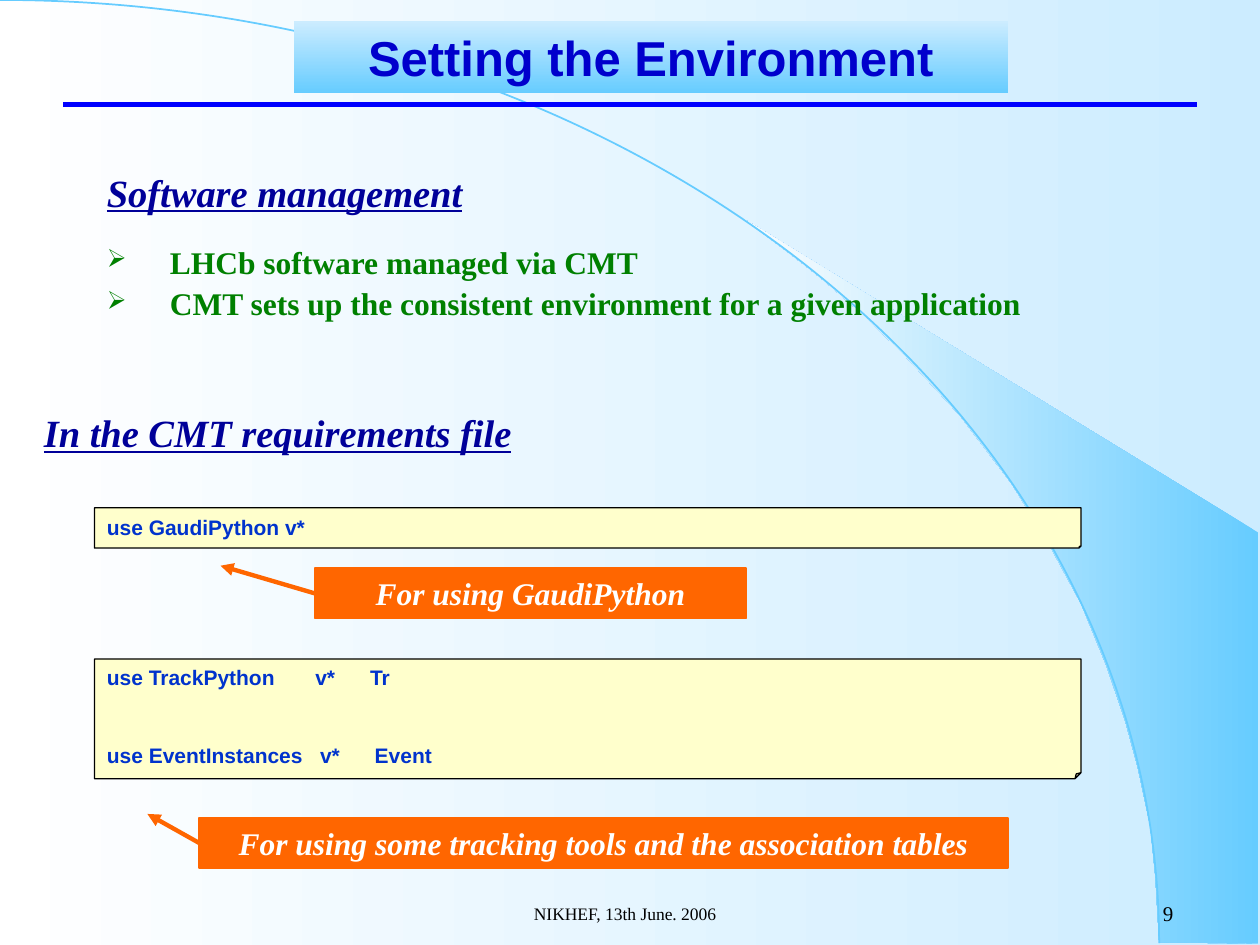
"""Build the slide on setting up the CMT environment."""
from lxml import etree
from pptx import Presentation
from pptx.dml.color import RGBColor
from pptx.enum.shapes import MSO_CONNECTOR, MSO_SHAPE
from pptx.enum.text import MSO_ANCHOR, PP_ALIGN
from pptx.oxml.ns import qn
from pptx.util import Inches, Pt

LEFT, MID, RIGHT = PP_ALIGN.LEFT, PP_ALIGN.CENTER, PP_ALIGN.RIGHT
TOP, CENTER = MSO_ANCHOR.TOP, MSO_ANCHOR.MIDDLE
STRAIGHT = MSO_CONNECTOR.STRAIGHT
RECT, FOLD, ARC = MSO_SHAPE.RECTANGLE, MSO_SHAPE.FOLDED_CORNER, MSO_SHAPE.ARC
SANS, SERIF = "Arial", "Times New Roman"

HEX = {
    "pale": "CCECFF", "white": "FFFFFF", "sky": "66CCFF", "mist": "FEFEFE",
    "rule": "0000FF", "title": "0000CC", "head": "000099", "point": "008000",
    "note": "FFFFCC", "code": "0033CC", "black": "000000", "call": "FF6600",
}

TITLE = "Setting the Environment"
HEADS = [("Software management", (0.75, 1.33, 7.47, 1.61)),
         ("In the CMT requirements file", (0.25, 3.24, 4.91, 0.43))]
POINTS = ["LHCb software managed via CMT",
          "CMT sets up the consistent environment for a given application"]
NOTES = [
    (["use TrackPython       v*      Tr",
      "use EventInstances   v*      Event"], (0.75, 5.23, 7.83, 0.95)),
    (["use GaudiPython v*"], (0.75, 4.03, 7.83, 0.32)),
]
CALLS = [
    ("For using GaudiPython", (2.5, 4.51, 3.42, 0.4), (1.75, 4.49)),
    ("For using some tracking tools and the association tables",
     (1.58, 6.49, 6.42, 0.4), (1.17, 6.46)),
]
FOOT = [("NIKHEF, 13th June. 2006", (2.92, 7, 4.08, 0.5), 10, MID),
        ("9", (7.33, 7, 2.08, 0.5), 12, RIGHT)]
WEDGE = [
    (9.2, 7.48), (9.99, 7.49), (9.99, 4.23), (5.89, 1.73), (6.24, 1.99),
    (6.53, 2.22), (6.85, 2.5), (7.16, 2.8), (7.62, 3.3), (8.03, 3.84),
    (8.32, 4.31), (8.58, 4.79), (8.78, 5.28), (8.93, 5.72), (9.03, 6.09),
    (9.13, 6.56), (9.17, 6.96),
]


def rgb(name):
    return RGBColor.from_string(HEX[name])


def inch(vals):
    return [Inches(v) for v in vals]


def blend(fill, names, angle):
    fill.gradient()
    fill.gradient_angle = angle
    for stop, name in zip(fill.gradient_stops, names):
        stop.color.rgb = rgb(name)


def paint(shape, fill=None, line=None, width=1):
    shape.shadow.inherit = False
    if fill:
        shape.fill.solid()
        shape.fill.fore_color.rgb = rgb(fill)
    if line:
        shape.line.color.rgb = rgb(line)
        shape.line.width = Pt(width)
    else:
        shape.line.fill.background()


def style(para, size, face, color, bold=True, slant=False, under=False):
    font = para.font
    font.size, font.name, font.color.rgb = Pt(size), face, rgb(color)
    font.bold, font.italic, font.underline = bold, slant, under


def write(shape, lines, align=LEFT, anchor=TOP, wrap=True):
    frame = shape.text_frame
    frame.text = "\n".join(lines)
    frame.word_wrap, frame.vertical_anchor = wrap, anchor
    frame.margin_left = frame.margin_right = Inches(0.1)
    frame.margin_top = frame.margin_bottom = Inches(0.05)
    for para in frame.paragraphs:
        para.alignment = align
    return frame.paragraphs


def bullet(para):
    props = para._p.get_or_add_pPr()
    props.set("marL", str(Inches(0.5)))
    props.set("indent", str(-Inches(0.5)))
    tint = etree.SubElement(props, qn("a:buClr"))
    etree.SubElement(tint, qn("a:srgbClr"), val=HEX["point"])
    etree.SubElement(props, qn("a:buSzPct"), val="80000")
    etree.SubElement(props, qn("a:buChar"), char="➢")


def crease(shape, part):
    geom = shape._element.spPr.find(qn("a:prstGeom"))
    guides = geom.find(qn("a:avLst"))
    etree.SubElement(guides, qn("a:gd"), name="adj",
                     fmla=f"val {round(part * 100000)}")


def link(shapes, start, end, color, width, head=False):
    line = shapes.add_connector(STRAIGHT, *inch(start + end))
    line.line.color.rgb, line.line.width = rgb(color), Pt(width)
    if head:
        etree.SubElement(line._element.spPr.find(qn("a:ln")),
                         qn("a:tailEnd"), type="triangle")
    etree.SubElement(line._element.spPr, qn("a:effectLst"))
    return line


def scene(slide):
    shapes = slide.shapes
    blend(slide.background.fill, ("pale", "white"), 180)
    trace = shapes.build_freeform(*inch(WEDGE[0]))
    trace.add_line_segments([inch(spot) for spot in WEDGE[1:]], close=True)
    wedge = trace.convert_to_shape()
    paint(wedge)
    blend(wedge.fill, ("sky", "mist"), 180)
    arc = shapes.add_shape(ARC, *inch((-9.2, 0, 18.4, 14.97)))
    paint(arc, line="sky")
    arc.fill.background()
    link(shapes, (0.5, 0.83), (9.5, 0.83), "rule", 3)


def main():
    deck = Presentation()
    deck.slide_width, deck.slide_height = Inches(10), Inches(7.5)
    slide = deck.slides.add_slide(deck.slide_layouts[5])
    shapes = slide.shapes
    scene(slide)

    for lines, spot in NOTES:
        note = shapes.add_shape(FOLD, *inch(spot))
        crease(note, 0.05)
        paint(note, "note", "black", 0.75)
        for row, para in enumerate(write(note, lines, anchor=CENTER)):
            para.space_before = Pt(30 if row else 0)
            style(para, 12, SANS, "code")

    title = shapes.title
    title.left, title.top, title.width, title.height = inch(
        (2.33, 0.17, 5.67, 0.57))
    blend(title.fill, ("pale", "sky"), 270)
    style(write(title, [TITLE], MID)[0], 28, SANS, "title")
    shapes._spTree.append(title._element)

    for (head, spot), points in zip(HEADS, (POINTS, [])):
        box = shapes.add_textbox(*inch(spot))
        first, *rest = write(box, [head] + points, wrap=False)
        first.line_spacing = 0.9
        style(first, 22, SERIF, "head", slant=True, under=True)
        for row, para in enumerate(rest):
            bullet(para)
            para.line_spacing = 0.9
            para.space_before = Pt(4.5 if row else 18)
            style(para, 18, SERIF, "point")

    for text, spot, tip in CALLS:
        call = shapes.add_shape(RECT, *inch(spot))
        paint(call, "call", "call")
        style(write(call, [text], MID)[0], 18, SERIF, "white", slant=True)
        left, top, _, high = spot
        arrow = link(shapes, (left, top + high / 2), tip, "call", 2.5, True)
        arrow.begin_connect(call, 1)

    for text, spot, size, align in FOOT:
        box = shapes.add_textbox(*inch(spot))
        para = write(box, [text], align, CENTER)[0]
        style(para, size, SERIF, "black", bold=False)

    deck.save("out.pptx")


if __name__ == "__main__":
    main()
